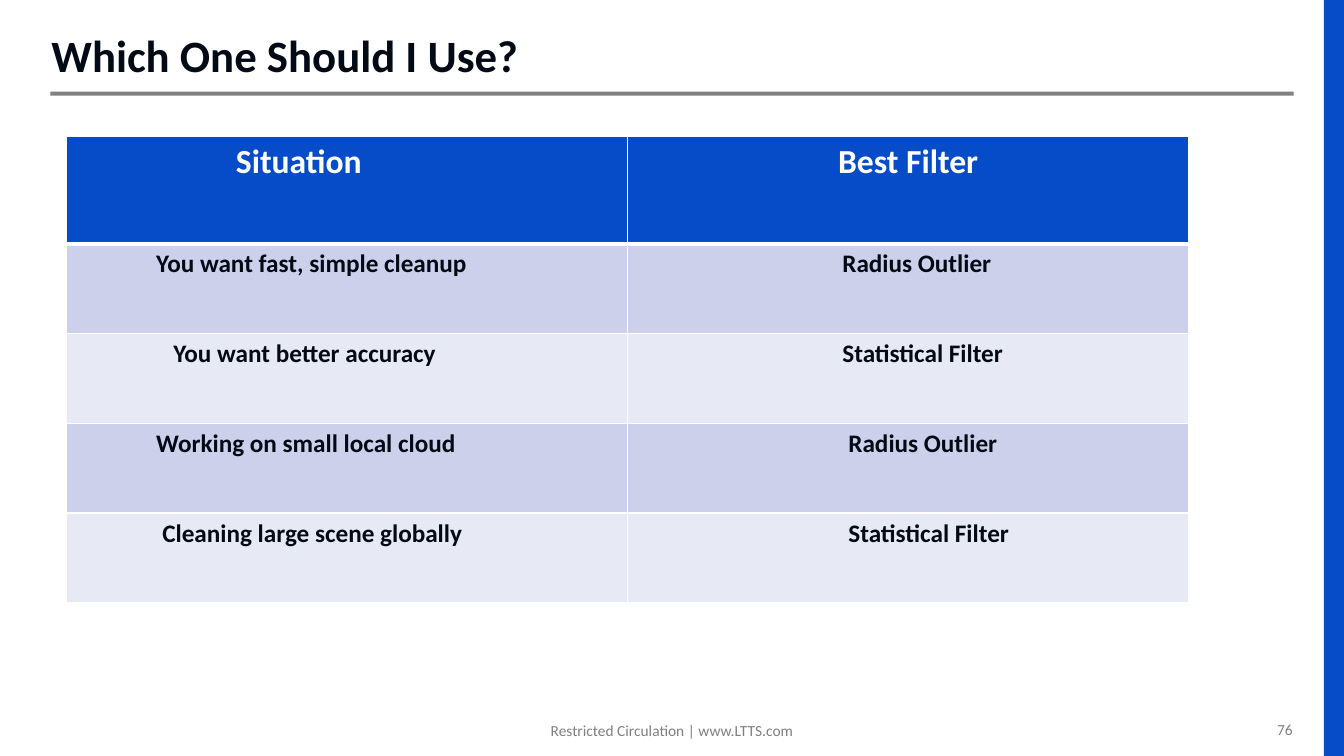
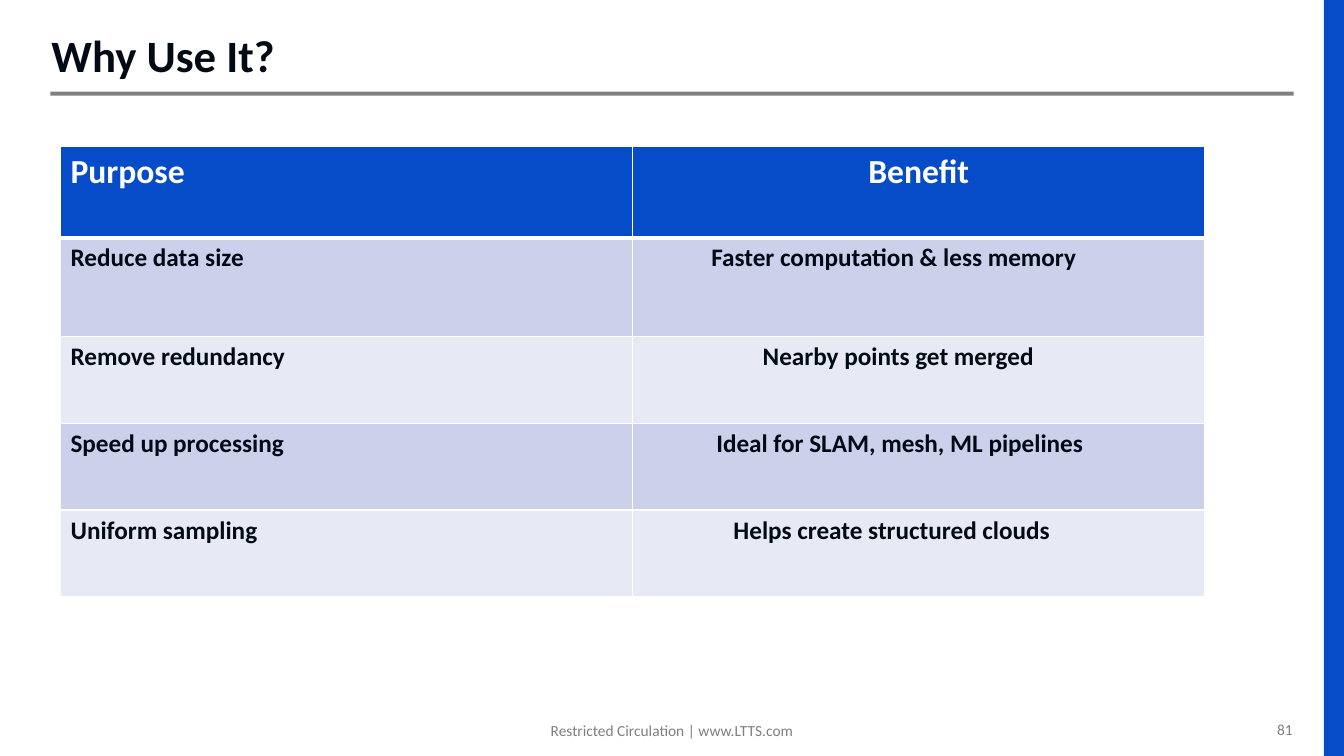
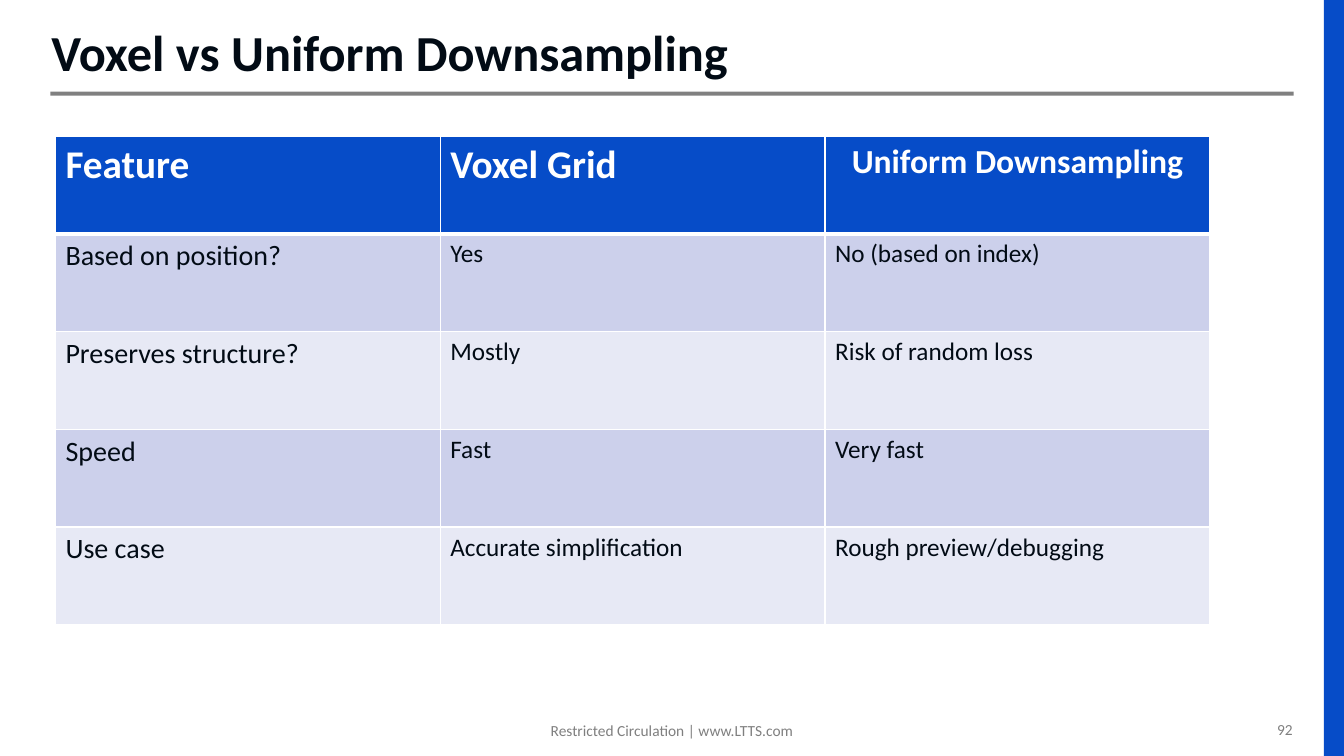
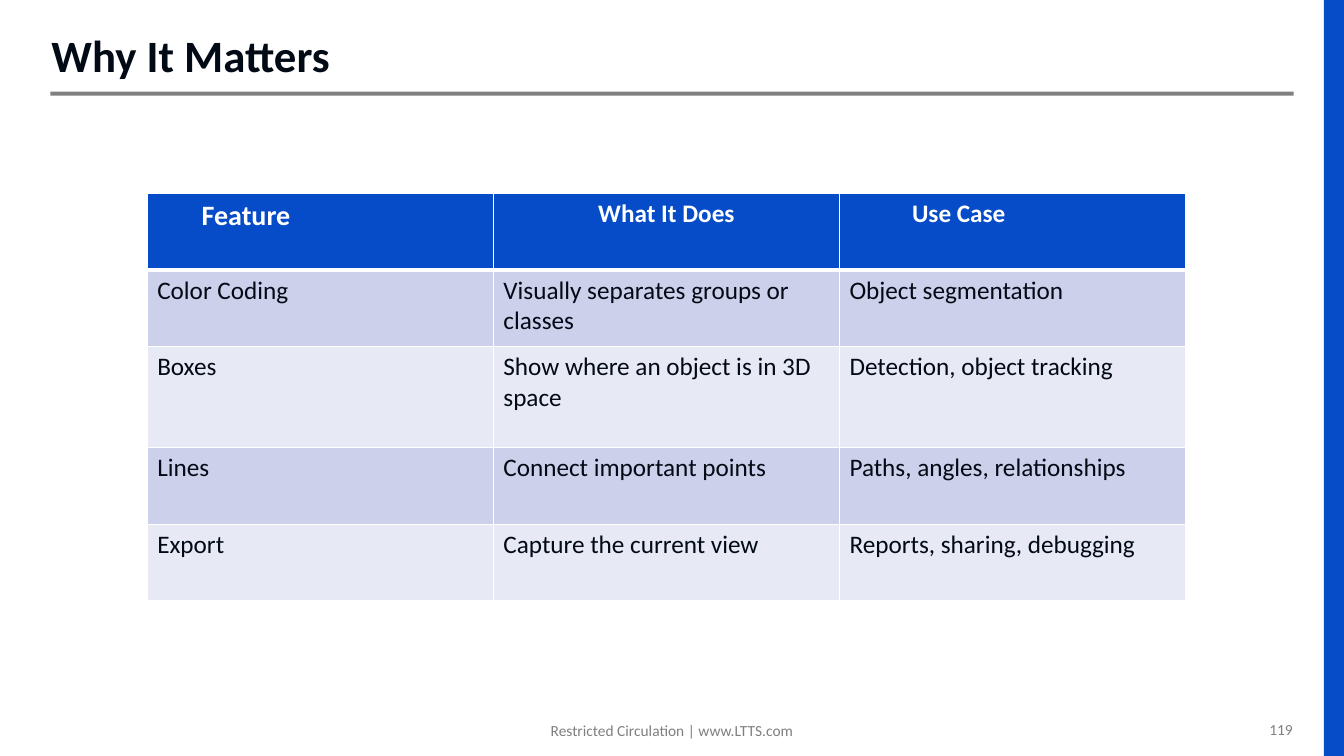
import dataclasses

import pptx
import pptx.dml.color
import pptx.enum.shapes
import pptx.enum.text
import pptx.oxml
import pptx.oxml.ns
import pptx.util

Inches = pptx.util.Inches
Pt = pptx.util.Pt
PP_ALIGN = pptx.enum.text.PP_ALIGN
MSO_ANCHOR = pptx.enum.text.MSO_ANCHOR


@dataclasses.dataclass(frozen=True)
class Theme:
    font: str = "Calibri"
    ink: str = "020B15"
    blue: str = "064CC8"
    white: str = "FFFFFF"
    rule: str = "808080"
    muted: str = "7F7F7F"
    bands: tuple = ("CCD0EB", "E7E9F5")
    title_size: int = 32
    large_title_size: int = 36
    footer_size: int = 11
    text_size: int = 18
    label_size: int = 20
    head_size: int = 24
    large_head_size: int = 28
    grid_line: int = 1
    head_line: int = 3


THEME = Theme()
FOOTER = "Restricted Circulation | www.LTTS.com"


@dataclasses.dataclass(frozen=True)
class Cell:
    text: str
    indent: float = 0.1
    align: PP_ALIGN = PP_ALIGN.LEFT


@dataclasses.dataclass(frozen=True)
class TableSlide:
    title: str
    page: int
    box: tuple
    heights: tuple
    head: tuple
    rows: tuple
    head_sizes: tuple
    body_sizes: tuple
    body_bold: bool = False
    title_size: int = THEME.title_size


def rgb(value):
    return pptx.dml.color.RGBColor.from_string(value)


def add_run(p, text, size, color, bold=False):
    r = p.add_run()
    r.text = text
    r.font.name = THEME.font
    r.font.size = Pt(size)
    r.font.bold = bold
    r.font.color.rgb = rgb(color)


def add_bar(s, box, color):
    sp = s.shapes.add_shape(
        pptx.enum.shapes.MSO_SHAPE.RECTANGLE, *map(Inches, box))
    sp.shadow.inherit = False
    sp.fill.solid()
    sp.fill.fore_color.rgb = rgb(color)
    sp.line.fill.background()


def add_footer_text(s, box, text, align, wrap):
    tf = s.shapes.add_textbox(*map(Inches, box)).text_frame
    tf.word_wrap = wrap
    p = tf.paragraphs[0]
    p.alignment = align
    add_run(p, text, THEME.footer_size, THEME.muted)


def add_frame(s, page):
    add_footer_text(s, (12.25, 7.09, 0.67, 0.29), str(page), PP_ALIGN.RIGHT, True)
    add_footer_text(s, (5.34, 7.1, 2.65, 0.29), FOOTER, PP_ALIGN.CENTER, False)
    add_bar(s, (0.5, 0.91, 12.33, 0.04), THEME.rule)
    add_bar(s, (13.13, 0, 0.2, 7.5), THEME.blue)


def set_title(s, text, size):
    sp = s.shapes.title
    sp.left, sp.top, sp.width, sp.height = map(Inches, (0.51, 0.27, 12.33, 0.6))
    tf = sp.text_frame
    tf.word_wrap = True
    tf.auto_size = pptx.enum.text.MSO_AUTO_SIZE.NONE
    tf.vertical_anchor = MSO_ANCHOR.BOTTOM
    tf.margin_left = tf.margin_right = 0
    tf.margin_top = tf.margin_bottom = Inches(0.05)
    p = tf.paragraphs[0]
    p.alignment = PP_ALIGN.LEFT
    p.line_spacing = 0.9
    add_run(p, text, size, THEME.ink, True)


def set_borders(cell, top, bottom):
    widths = {"L": THEME.grid_line, "R": THEME.grid_line, "T": top, "B": bottom}
    tc_pr = cell._tc.get_or_add_tcPr()
    for i, (side, width) in enumerate(widths.items()):
        tc_pr.insert(i, pptx.oxml.parse_xml(
            f'<a:ln{side} {pptx.oxml.ns.nsdecls("a")} w="{Pt(width)}">'
            f'<a:solidFill><a:srgbClr val="{THEME.white}"/></a:solidFill>'
            f'</a:ln{side}>'))


def fill_cell(cell, content, size, color, bold, fill):
    cell.fill.solid()
    cell.fill.fore_color.rgb = rgb(fill)
    cell.vertical_anchor = MSO_ANCHOR.TOP
    cell.margin_left = Inches(content.indent)
    p = cell.text_frame.paragraphs[0]
    p.alignment = content.align
    add_run(p, content.text, size, color, bold)


def add_grid(s, spec):
    rows = (spec.head,) + spec.rows
    count = len(spec.head)
    table = s.shapes.add_table(len(rows), count, *map(Inches, spec.box)).table
    for column in table.columns:
        column.width = Inches(spec.box[2] / count)
    for i, (row, height) in enumerate(zip(rows, spec.heights)):
        table.rows[i].height = Inches(height)
        is_head = i == 0
        sizes = spec.head_sizes if is_head else spec.body_sizes
        color = THEME.white if is_head else THEME.ink
        fill = THEME.blue if is_head else THEME.bands[(i - 1) % 2]
        top = THEME.head_line if i == 1 else THEME.grid_line
        bottom = THEME.head_line if is_head else THEME.grid_line
        for j, content in enumerate(row):
            if isinstance(content, str):
                content = Cell(content)
            cell = table.cell(i, j)
            fill_cell(cell, content, sizes[j], color, is_head or spec.body_bold, fill)
            set_borders(cell, top, bottom)


def add_table_slide(prs, spec):
    s = prs.slides.add_slide(prs.slide_layouts.get_by_name("Title Only"))
    add_frame(s, spec.page)
    set_title(s, spec.title, spec.title_size)
    add_grid(s, spec)


SLIDES = (
    TableSlide(
        "Which One Should I Use?", 76,
        box=(0.66, 1.35, 11.13, 4.63),
        heights=(1.07,) + (0.89,) * 4,
        head=(Cell("Situation", 1.68), Cell("Best Filter", align=PP_ALIGN.CENTER)),
        rows=(
            (Cell("You want fast, simple cleanup", 0.89), Cell("Radius Outlier", 2.13)),
            (Cell("You want better accuracy", 1.06), Cell("Statistical Filter", 2.13)),
            (Cell("Working on small local cloud", 0.89), Cell("Radius Outlier", 2.19)),
            (Cell("Cleaning large scene globally", 0.95), Cell("Statistical Filter", 2.19)),
        ),
        head_sizes=(THEME.head_size,) * 2,
        body_sizes=(THEME.text_size,) * 2,
        body_bold=True,
    ),
    TableSlide(
        "Why Use It?", 81,
        box=(0.6, 1.45, 11.35, 4.46),
        heights=(0.91, 0.98) + (0.86,) * 3,
        head=("Purpose", Cell("Benefit", align=PP_ALIGN.CENTER)),
        rows=(
            ("Reduce data size", Cell("Faster computation & less memory", 0.78)),
            ("Remove redundancy", Cell("Nearby points get merged", 1.29)),
            ("Speed up processing", Cell("Ideal for SLAM, mesh, ML pipelines", 0.83)),
            ("Uniform sampling", Cell("Helps create structured clouds", 1.0)),
        ),
        head_sizes=(THEME.head_size,) * 2,
        body_sizes=(THEME.text_size,) * 2,
        body_bold=True,
    ),
    TableSlide(
        "Voxel vs Uniform Downsampling", 92,
        box=(0.55, 1.35, 11.45, 4.87),
        heights=(0.97,) * 5,
        head=("Feature", "Voxel Grid",
              Cell("Uniform Downsampling", align=PP_ALIGN.CENTER)),
        rows=(
            ("Based on position?", "Yes", "No (based on index)"),
            ("Preserves structure?", "Mostly", "Risk of random loss"),
            ("Speed", "Fast", "Very fast"),
            ("Use case", "Accurate simplification", "Rough preview/debugging"),
        ),
        head_sizes=(THEME.large_head_size, THEME.large_head_size, THEME.head_size),
        body_sizes=(THEME.label_size, THEME.text_size, THEME.text_size),
        title_size=THEME.large_title_size,
    ),
    TableSlide(
        "Why It Matters", 119,
        box=(1.46, 1.92, 10.3, 4.04),
        heights=(0.76, 0.76, 1.0, 0.76, 0.76),
        head=(Cell("Feature", 0.54), Cell("What It Does", align=PP_ALIGN.CENTER),
              Cell("Use Case", 0.72)),
        rows=(
            ("Color Coding", "Visually separates groups or classes",
             "Object segmentation"),
            ("Boxes", "Show where an object is in 3D space",
             "Detection, object tracking"),
            ("Lines", "Connect important points", "Paths, angles, relationships"),
            ("Export", "Capture the current view", "Reports, sharing, debugging"),
        ),
        head_sizes=(THEME.label_size, THEME.text_size, THEME.text_size),
        body_sizes=(THEME.text_size,) * 3,
    ),
)


def main():
    prs = pptx.Presentation()
    prs.slide_width = Inches(13.33)
    prs.slide_height = Inches(7.5)
    for spec in SLIDES:
        add_table_slide(prs, spec)
    prs.save("out.pptx")


if __name__ == "__main__":
    main()
